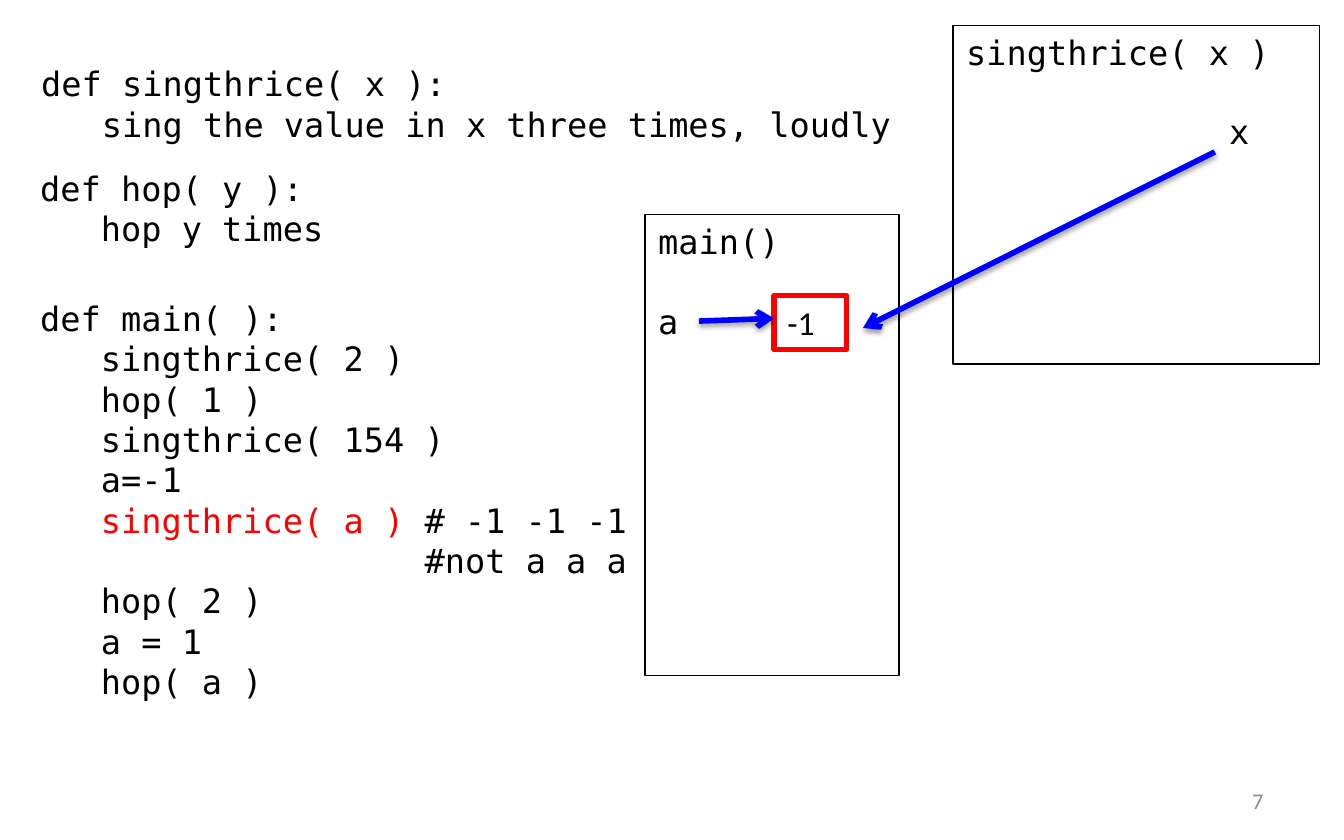
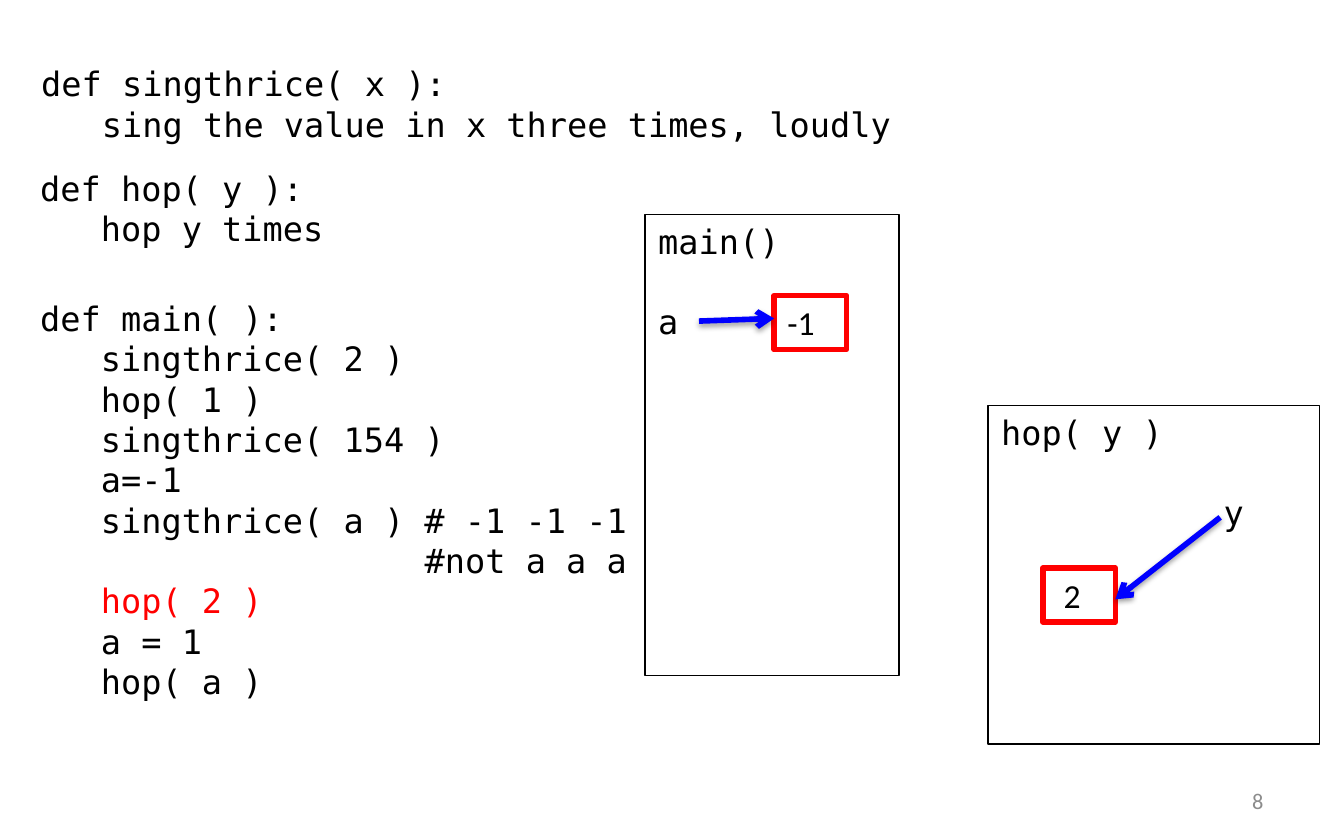
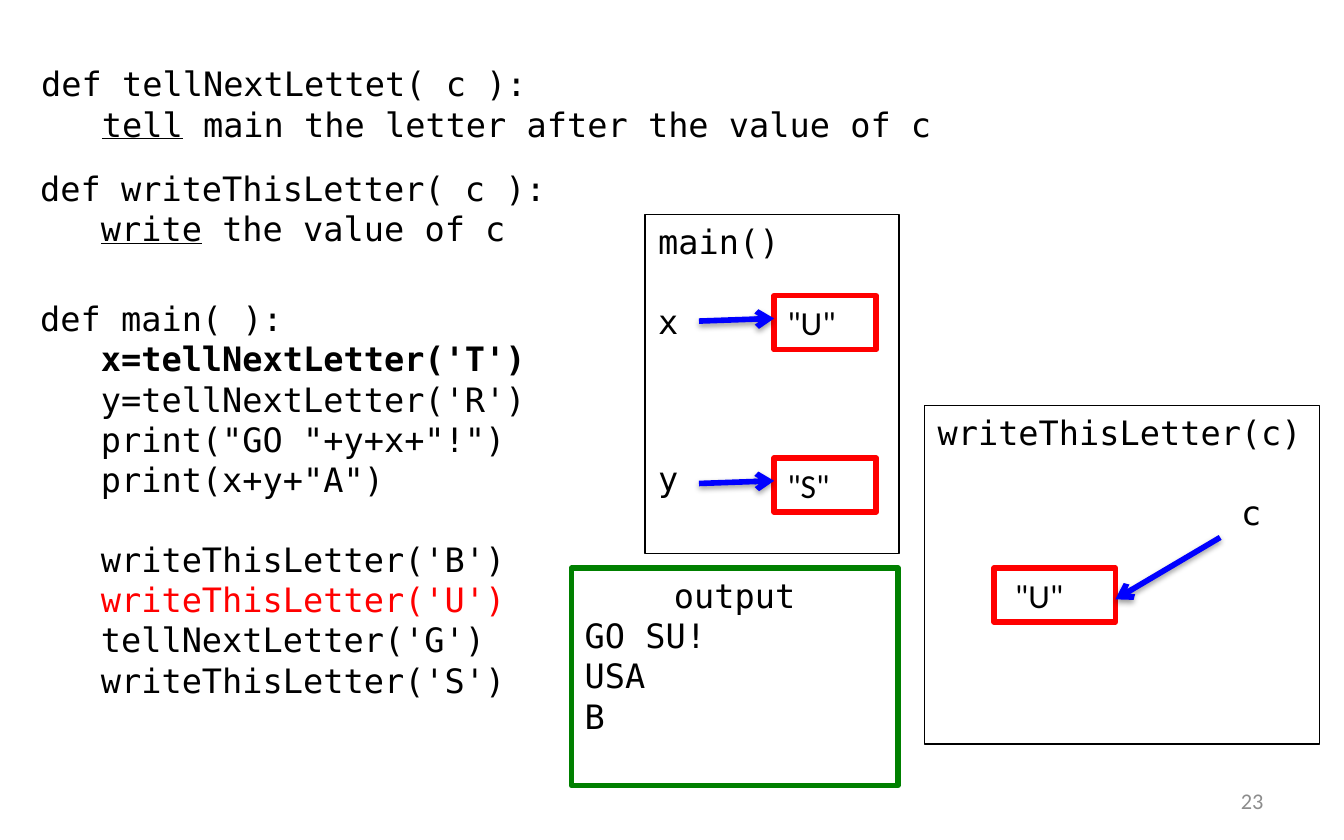
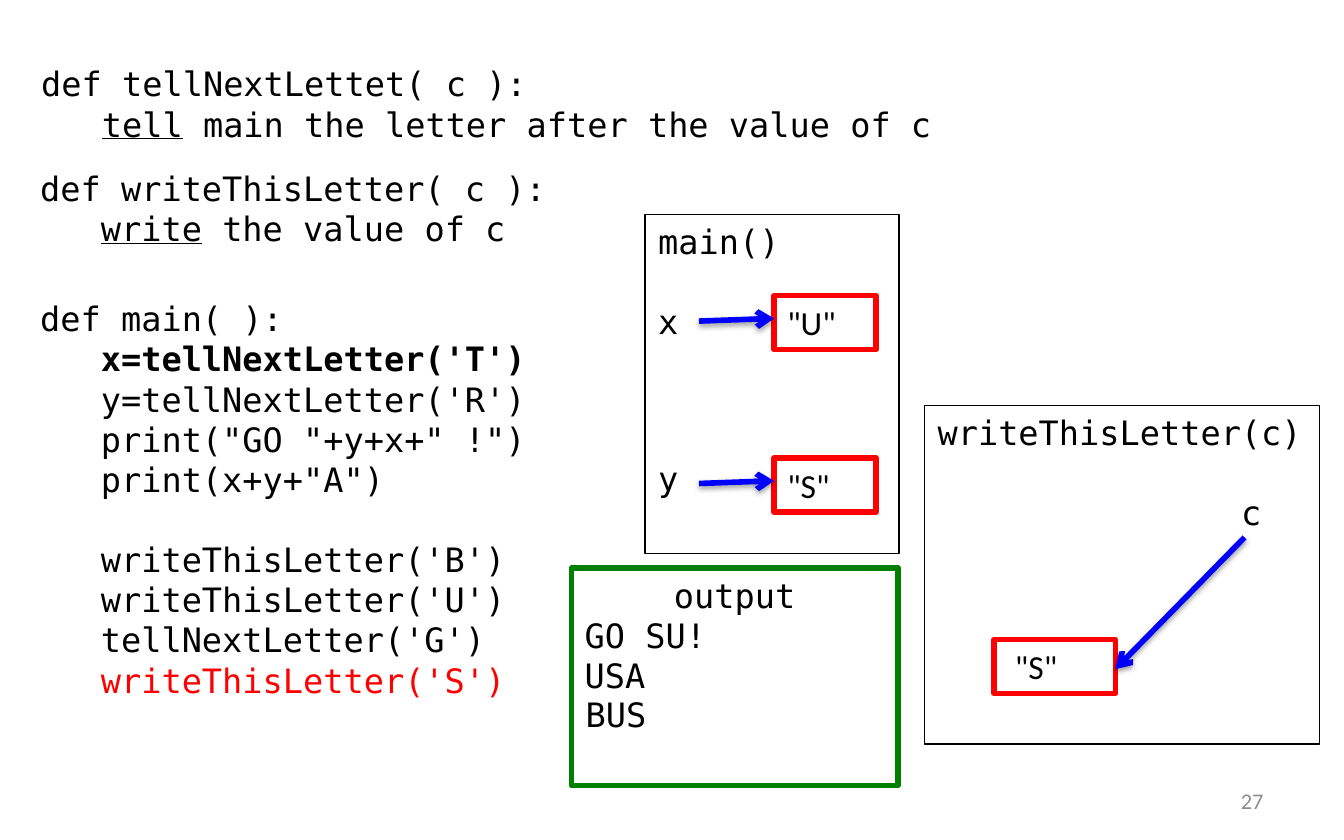
from dataclasses import dataclass

import pptx
import pptx.dml.color
import pptx.enum.shapes
import pptx.enum.text
import pptx.oxml
import pptx.oxml.ns
import pptx.util
from pptx.util import Cm, Pt


@dataclass(frozen=True)
class Theme:
    code_font: str = "DejaVu Sans Mono"
    body_font: str = "Calibri"
    text_size: float = 18
    number_size: float = 12
    character_width: float = 10.84
    line_height: float = 20.95
    thin: float = 0.75
    thick: float = 3
    black: str = "000000"
    gray: str = "8C8C8C"
    red: str = "FF0000"
    blue: str = "0000FF"
    green: str = "008000"


@dataclass(frozen=True)
class Line:
    runs: tuple
    indent: int = 0
    blank_before: int = 0
    align: str = "LEFT"


def line(*runs, **layout):
    return Line(runs, **layout)


def body(*texts):
    return [line(text, indent=3) for text in texts]


THEME = Theme()
UNDERLINED = {"tell", "write"}
BOLD = {"x=tellNextLetter('T')"}

SING_HOP = {
    "first": [line("def singthrice( x ):"), *body("sing the value in x three times, loudly")],
    "first_width": 16.79,
    "second": [line("def hop( y ):"), *body("hop y times")],
    "main": [
        line("def main( ):"),
        *body("singthrice( 2 )", "hop( 1 )", "singthrice( 154 )", "a=-1"),
        line("singthrice( a )", " # -1 -1 -1", indent=3),
        line("#not a a a", indent=19),
        *body("hop( 2 )", "a = 1", "hop( a )"),
    ],
    "frame_height": 8.71,
    "value_width": 1.37,
    "variables": [("a", "-1")],
}


def letters(cheer):
    return {
        "first": [
            line("def tellNextLettet( c ):"),
            line("tell", " main the letter after the value of c", indent=3),
        ],
        "first_width": 17.68,
        "second": [
            line("def writeThisLetter( c ):"),
            line("write", " the value of c", indent=3),
        ],
        "main": [
            line("def main( ):"),
            *body("x=tellNextLetter('T')", "y=tellNextLetter('R')", cheer, 'print(x+y+"A")'),
            line("writeThisLetter('B')", indent=3, blank_before=1),
            *body("writeThisLetter('U')", "tellNextLetter('G')", "writeThisLetter('S')"),
        ],
        "frame_height": 6.4,
        "value_width": 1.93,
        "variables": [("x", '"U"'), ("y", '"S"')],
    }


WRITE_FRAME = {"name": "writeThisLetter(c)", "parameter": "c", "indent": 15,
               "top": 7.67, "width": 7.47}

SLIDES = [
    {
        "number": "7",
        "program": SING_HOP,
        "current": "singthrice( a )",
        "call": {"name": "singthrice( x )", "parameter": "x", "indent": 13,
                 "top": 0.48, "width": 6.93},
        "arrow": ((22.96, 2.87), (16.31, 6.2)),
    },
    {
        "number": "8",
        "program": SING_HOP,
        "current": "hop( 2 )",
        "call": {"name": "hop( y )", "parameter": "y", "indent": 11,
                 "top": 7.67, "width": 6.27},
        "argument": (" 2", 10.74, 1.37),
        "arrow": ((23.06, 9.78), (21.08, 11.33)),
    },
    {
        "number": "23",
        "program": letters('print("GO "+y+x+"!")'),
        "current": "writeThisLetter('U')",
        "call": WRITE_FRAME,
        "argument": (' "U"', 10.74, 2.29),
        "arrow": ((23.06, 10.16), (21.08, 11.33)),
        "output": ["GO SU!", "USA", "B"],
    },
    {
        "number": "27",
        "program": letters('print("GO "+y+x+" !")'),
        "current": "writeThisLetter('S')",
        "call": WRITE_FRAME,
        "argument": (' "S"', 12.09, 2.29),
        "arrow": ((23.52, 10.16), (21.08, 12.65)),
        "output": ["GO SU!", "USA"],
        "last_output": "BUS",
    },
]

FRAME_RIGHT = 24.94
VALUE_LEFT, VALUE_TOP, VALUE_HEIGHT, VARIABLE_STEP = 14.63, 5.59, 1.02, 3.07
ARGUMENT_RIGHT = 21.08
ARROW_EFFECT = (
    '<a:effectLst %s><a:outerShdw blurRad="39370" dist="20320" dir="5400000" rotWithShape="0">'
    '<a:srgbClr val="000000"><a:alpha val="38000"/></a:srgbClr></a:outerShdw></a:effectLst>'
    % pptx.oxml.ns.nsdecls("a")
)
ARROW_HEAD = '<a:tailEnd type="arrow" %s/>' % pptx.oxml.ns.nsdecls("a")


def color(value):
    return pptx.dml.color.RGBColor.from_string(value)


def write(shape, lines, font=THEME.code_font, size=THEME.text_size, ink=THEME.black,
          current=None, wrap=True, anchor="TOP"):
    text_frame = shape.text_frame
    text_frame.word_wrap = wrap
    text_frame.vertical_anchor = pptx.enum.text.MSO_ANCHOR[anchor]
    for index, item in enumerate(lines):
        paragraph = text_frame.add_paragraph() if index else text_frame.paragraphs[0]
        paragraph.alignment = pptx.enum.text.PP_ALIGN[item.align]
        if item.blank_before:
            paragraph.space_before = Pt(item.blank_before * THEME.line_height)
        if item.indent:
            margin = Pt(item.indent * THEME.character_width)
            paragraph._p.get_or_add_pPr().set("marL", str(int(margin)))
        for text in item.runs:
            run = paragraph.add_run()
            run.text = text
            run.font.name = font
            run.font.size = Pt(size)
            run.font.color.rgb = color(THEME.red if text == current else ink)
            if text in UNDERLINED:
                run.font.underline = True
            if text in BOLD:
                run.font.bold = True


def add_text(slide, box, lines, **style):
    write(slide.shapes.add_textbox(*map(Cm, box)), lines, **style)


def add_box(slide, box, lines, outline=THEME.black, weight=THEME.thin, **style):
    shape = slide.shapes.add_shape(pptx.enum.shapes.MSO_SHAPE.RECTANGLE, *map(Cm, box))
    shape.shadow.inherit = False
    shape.fill.background()
    shape.line.color.rgb = color(outline)
    shape.line.width = Pt(weight)
    write(shape, lines, **style)


def add_value(slide, left, top, width, text):
    add_box(slide, (left, top, width, VALUE_HEIGHT), [line(text)],
            THEME.red, THEME.thick, font=THEME.body_font)


def add_arrow(slide, start, end):
    connector = slide.shapes.add_connector(
        pptx.enum.shapes.MSO_CONNECTOR.STRAIGHT, *map(Cm, (*start, *end)))
    connector.line.color.rgb = color(THEME.blue)
    connector.line.width = Pt(THEME.thick)
    connector.line._get_or_add_ln().append(pptx.oxml.parse_xml(ARROW_HEAD))
    connector._element.spPr.append(pptx.oxml.parse_xml(ARROW_EFFECT))


def add_program(slide, program, current):
    add_text(slide, (0.53, 1.07, program["first_width"], 1.8), program["first"])
    add_text(slide, (0.51, 3.05, 11.23, 1.8), program["second"])
    add_text(slide, (0.51, 5.51, 11.68, 7.95), program["main"], current=current)


def add_main_frame(slide, program):
    labels = [line(name, blank_before=3 if index else 1)
              for index, (name, value) in enumerate(program["variables"])]
    add_box(slide, (12.19, 4.06, 4.8, program["frame_height"]), [line("main()"), *labels])


def add_variables(slide, program):
    for index, (name, value) in enumerate(program["variables"]):
        top = VALUE_TOP + index * VARIABLE_STEP
        add_value(slide, VALUE_LEFT, top, program["value_width"], value)
        add_arrow(slide, (13.21, top + 0.48), (VALUE_LEFT, top + 0.43))


def add_call_frame(slide, call):
    box = (FRAME_RIGHT - call["width"], call["top"], call["width"], 6.4)
    add_box(slide, box, [line(call["name"]),
                         line(call["parameter"], indent=call["indent"], blank_before=1)])


def add_output(slide, printed):
    add_box(slide, (10.8, 10.74, 6.17, 4.11),
            [line("output", align="CENTER"), *map(line, printed)], THEME.green, THEME.thick)


def build_slide(presentation, content):
    slide = presentation.slides.add_slide(presentation.slide_layouts[6])
    program = content["program"]
    add_text(slide, (18.21, 14.71, 5.92, 0.84), [line(content["number"], align="RIGHT")],
             font=THEME.body_font, size=THEME.number_size, ink=THEME.gray, anchor="MIDDLE")
    add_program(slide, program, content["current"])
    add_main_frame(slide, program)
    add_call_frame(slide, content["call"])
    add_variables(slide, program)
    if "argument" in content:
        text, top, width = content["argument"]
        add_value(slide, ARGUMENT_RIGHT - width, top, width, text)
    add_arrow(slide, *content["arrow"])
    if "output" in content:
        add_output(slide, content["output"])
    if "last_output" in content:
        add_text(slide, (10.82, 13, 1.68, 1.02), [line(content["last_output"])], wrap=False)


def main():
    presentation = pptx.Presentation()
    presentation.slide_width = Cm(25.4)
    presentation.slide_height = Cm(15.88)
    for content in SLIDES:
        build_slide(presentation, content)
    presentation.save("out.pptx")


if __name__ == "__main__":
    main()
